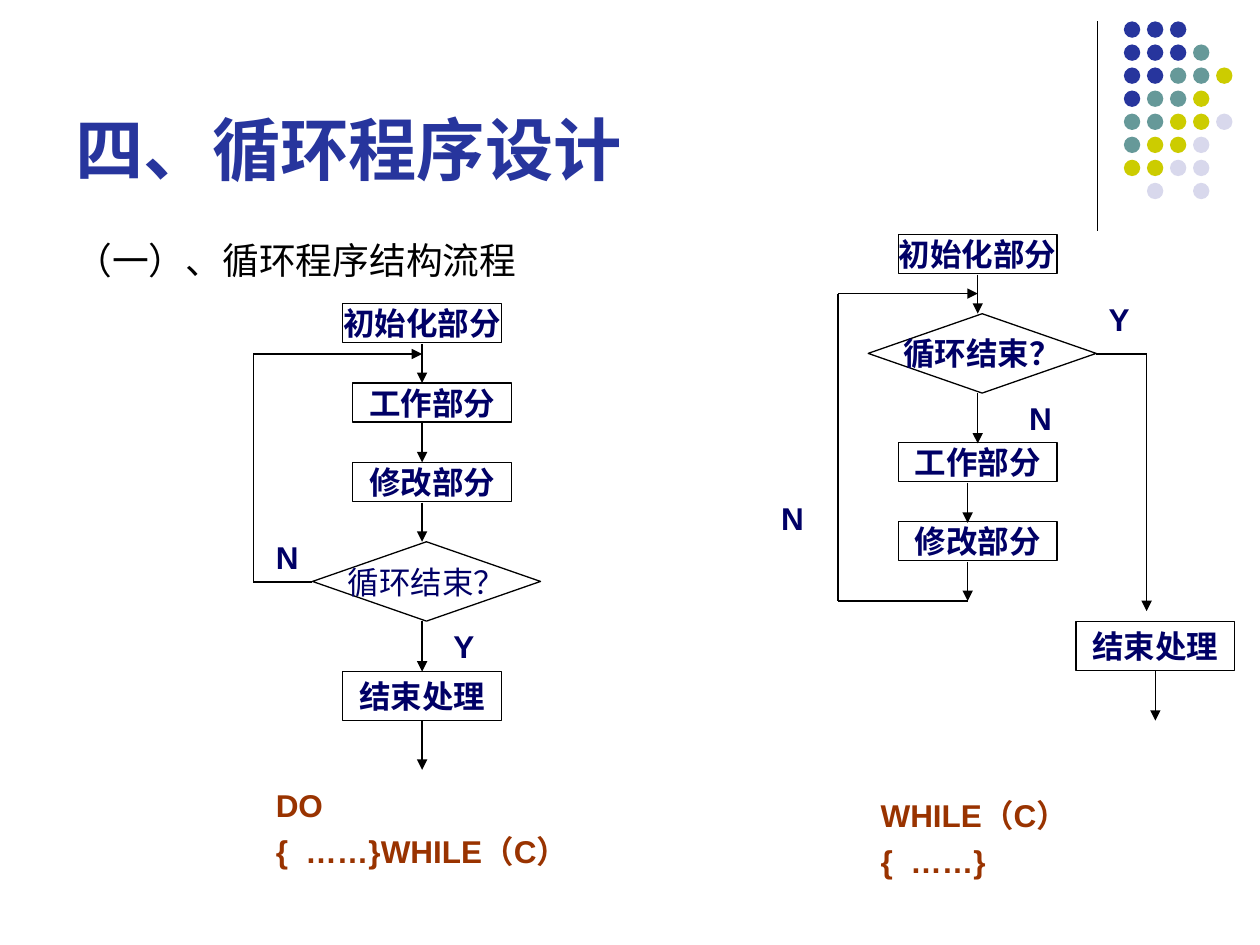
from pptx import Presentation
from pptx.dml.color import RGBColor
from pptx.enum.shapes import MSO_CONNECTOR, MSO_SHAPE
from pptx.enum.text import MSO_ANCHOR, MSO_AUTO_SIZE, PP_ALIGN
from pptx.oxml.ns import qn
from pptx.util import Inches, Pt
from lxml.etree import SubElement

BLACK = RGBColor(0x00, 0x00, 0x00)
NAVY = RGBColor(0x00, 0x00, 0x66)
BROWN = RGBColor(0x99, 0x33, 0x00)
BLUE = RGBColor(0x27, 0x35, 0x9D)
TEAL = RGBColor(0x66, 0x99, 0x99)
LIME = RGBColor(0xCC, 0xCC, 0x00)
PALE = RGBColor(0xD8, 0xD8, 0xEC)


def write(frame, text, size, color, bold=True):
    frame.text = text
    for para in frame.paragraphs:
        para.font.name = "Arial"
        para.font.size = Pt(size)
        para.font.bold = bold
        para.font.color.rgb = color


def link(x1, y1, x2, y2, arrow=False):
    line = slide.shapes.add_connector(
        MSO_CONNECTOR.STRAIGHT, Inches(x1), Inches(y1), Inches(x2), Inches(y2))
    line.line.color.rgb = BLACK
    line.line.width = Pt(0.75)
    props = line._element.spPr
    if arrow:
        SubElement(props.find(qn("a:ln")), qn("a:tailEnd"), type="triangle")
    SubElement(props, qn("a:effectLst"))


prs = Presentation()
prs.slide_width = Inches(10)
prs.slide_height = Inches(7.5)
slide = prs.slides.add_slide(prs.slide_layouts[5])

# Corner dots beside a rule
link(8.71, 0.17, 8.71, 1.83)
tints = {"B": BLUE, "T": TEAL, "L": LIME, "P": PALE}
dots = ["BBB", "BBBT", "BBTTL", "BTTL", "TTLLP", "TLLP", "LLPP", " P P"]
for row, marks in enumerate(dots):
    for col, mark in enumerate(marks):
        if mark == " ":
            continue
        dot = slide.shapes.add_shape(
            MSO_SHAPE.OVAL, Inches(8.92 + col * 0.183),
            Inches(0.17 + row * 0.183), Inches(0.13), Inches(0.13))
        dot.shadow.inherit = False
        dot.fill.solid()
        dot.fill.fore_color.rgb = tints[mark]
        dot.line.fill.background()

# Title
title = slide.shapes.title
title.left, title.top = Inches(0.5), Inches(0.13)
title.width, title.height = Inches(8.25), Inches(1.42)
write(title.text_frame, "四、循环程序设计", 39, BLUE)
title.text_frame.auto_size = MSO_AUTO_SIZE.NONE
title.text_frame.vertical_anchor = MSO_ANCHOR.BOTTOM
title.text_frame.paragraphs[0].alignment = PP_ALIGN.LEFT

# Subtitle, branch labels and code: left, top, width, height, text, size,
# colour, bold, line spacing
notes = [(0.5, 1.88, 4.74, 0.42, "（一）、循环程序结构流程", 21, BLACK, False, 0.9)]
for x, y, text in [(2.09, 4.22, "N"), (3.5, 4.93, "Y"), (8.07, 3.12, "N"),
                   (8.7, 2.33, "Y"), (6.1, 3.91, "N")]:
    notes.append((x, y, 0.39, 0.4, text, 18, NAVY, True, 1.0))
for x, y, w, text in [(2.09, 6.27, 2.99, "DO\n{  ……}WHILE（C）"),
                      (6.89, 6.35, 2.21, "WHILE（C）\n{  ……}")]:
    notes.append((x, y, w, 0.68, text, 18, BROWN, True, 0.7))
for x, y, w, h, text, size, color, bold, gap in notes:
    box = slide.shapes.add_textbox(Inches(x), Inches(y), Inches(w), Inches(h))
    box.text_frame.word_wrap = True
    write(box.text_frame, text, size, color, bold)
    for para in box.text_frame.paragraphs:
        para.line_spacing = gap
    for para in box.text_frame.paragraphs[1:]:
        para.space_before = Pt(11.2)

# Flowchart steps: left, top, width, height, text, bold
STEP = MSO_SHAPE.FLOWCHART_PROCESS
TEST = MSO_SHAPE.FLOWCHART_DECISION
steps = [
    # DO loop
    (STEP, 2.72, 2.41, 1.26, 0.31, "初始化部分", True),
    (STEP, 2.8, 3.04, 1.26, 0.31, "工作部分", True),
    (STEP, 2.8, 3.67, 1.26, 0.31, "修改部分", True),
    (TEST, 2.48, 4.3, 1.81, 0.63, "循环结束？", False),
    (STEP, 2.72, 5.33, 1.26, 0.39, "结束处理", True),
    # WHILE loop
    (STEP, 7.13, 1.86, 1.26, 0.31, "初始化部分", True),
    (TEST, 6.89, 2.49, 1.81, 0.63, "循环结束？", True),
    (STEP, 7.13, 3.51, 1.26, 0.31, "工作部分", True),
    (STEP, 7.13, 4.14, 1.26, 0.31, "修改部分", True),
    (STEP, 8.54, 4.93, 1.26, 0.39, "结束处理", True),
]
for kind, x, y, w, h, text, bold in steps:
    step = slide.shapes.add_shape(kind, Inches(x), Inches(y), Inches(w), Inches(h))
    step.shadow.inherit = False
    step.fill.background()
    step.line.color.rgb = BLACK
    step.line.width = Pt(0.75)
    frame = step.text_frame
    frame.word_wrap = False
    frame.vertical_anchor = MSO_ANCHOR.MIDDLE
    write(frame, text, 18, NAVY, bold)
    frame.paragraphs[0].alignment = PP_ALIGN.CENTER

# Downward arrows: x, start, end
for x, y1, y2 in [(3.35, 2.73, 3.04), (3.35, 3.36, 3.67), (3.35, 3.99, 4.3),
                  (3.35, 4.93, 5.33), (3.35, 5.72, 6.11),
                  (7.76, 2.18, 2.49), (7.76, 3.12, 3.52), (7.68, 3.83, 4.15),
                  (7.68, 4.46, 4.77), (9.17, 5.32, 5.72)]:
    link(x, y1, x, y2, arrow=True)

# Bent routes, with an arrowhead on the last leg
routes = [
    [(2.48, 4.62), (2.01, 4.62), (2.01, 2.81), (3.35, 2.81)],
    [(7.68, 4.77), (6.65, 4.77), (6.65, 2.33), (7.76, 2.33)],
    [(8.7, 2.81), (9.1, 2.81), (9.1, 4.85)],
]
for route in routes:
    for start, end in zip(route, route[1:]):
        link(*start, *end, arrow=end == route[-1])

prs.save("out.pptx")
